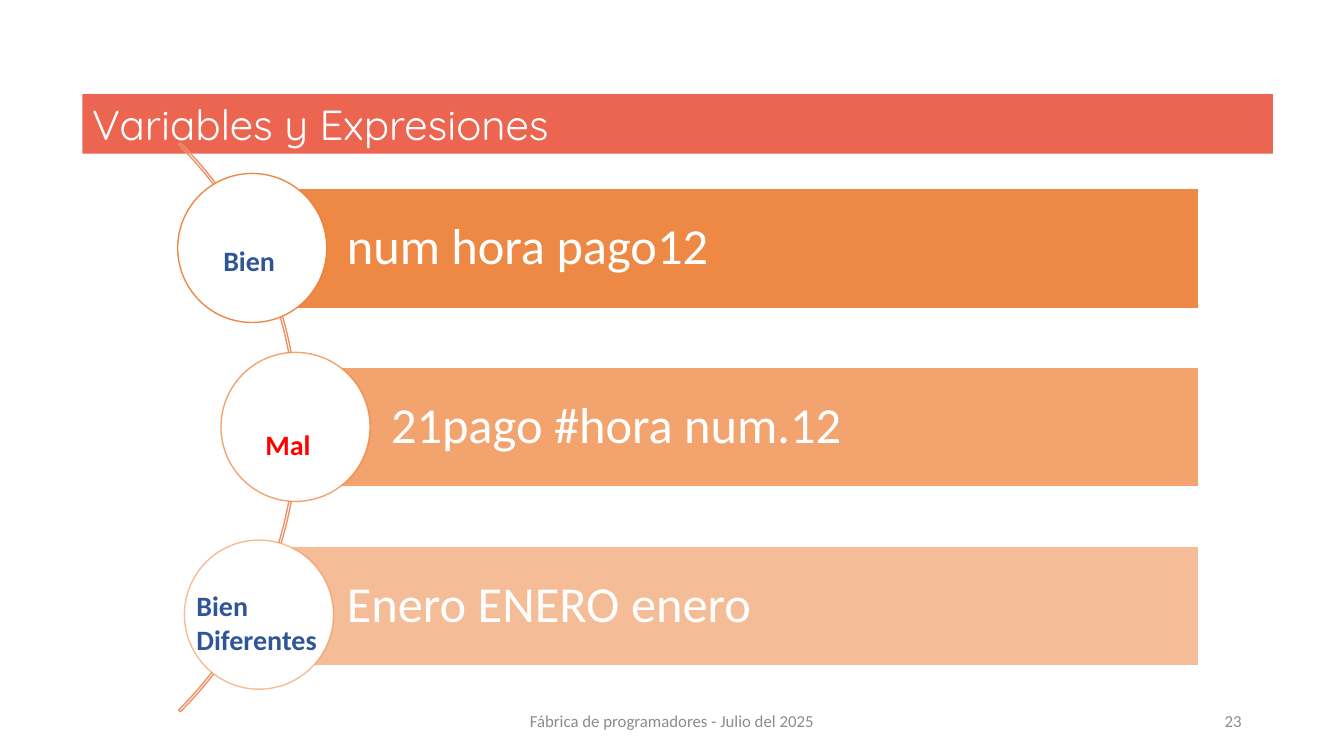
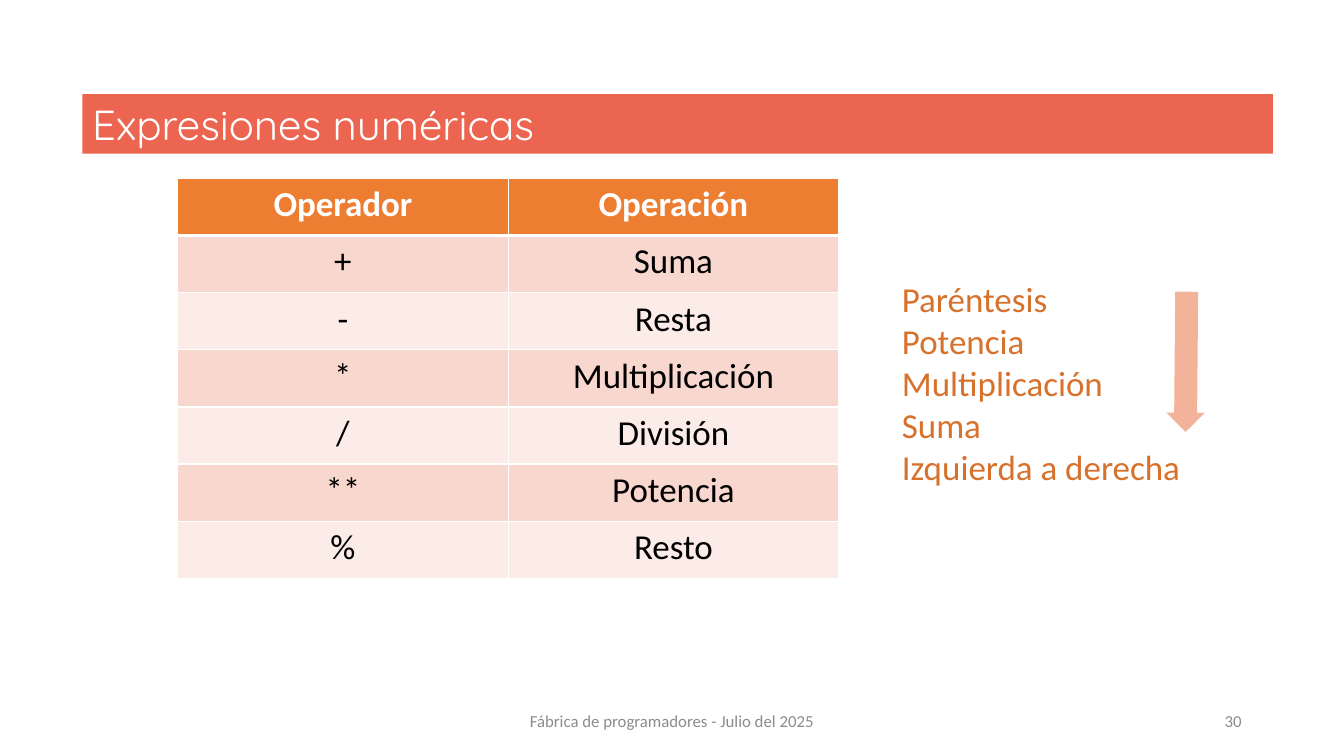
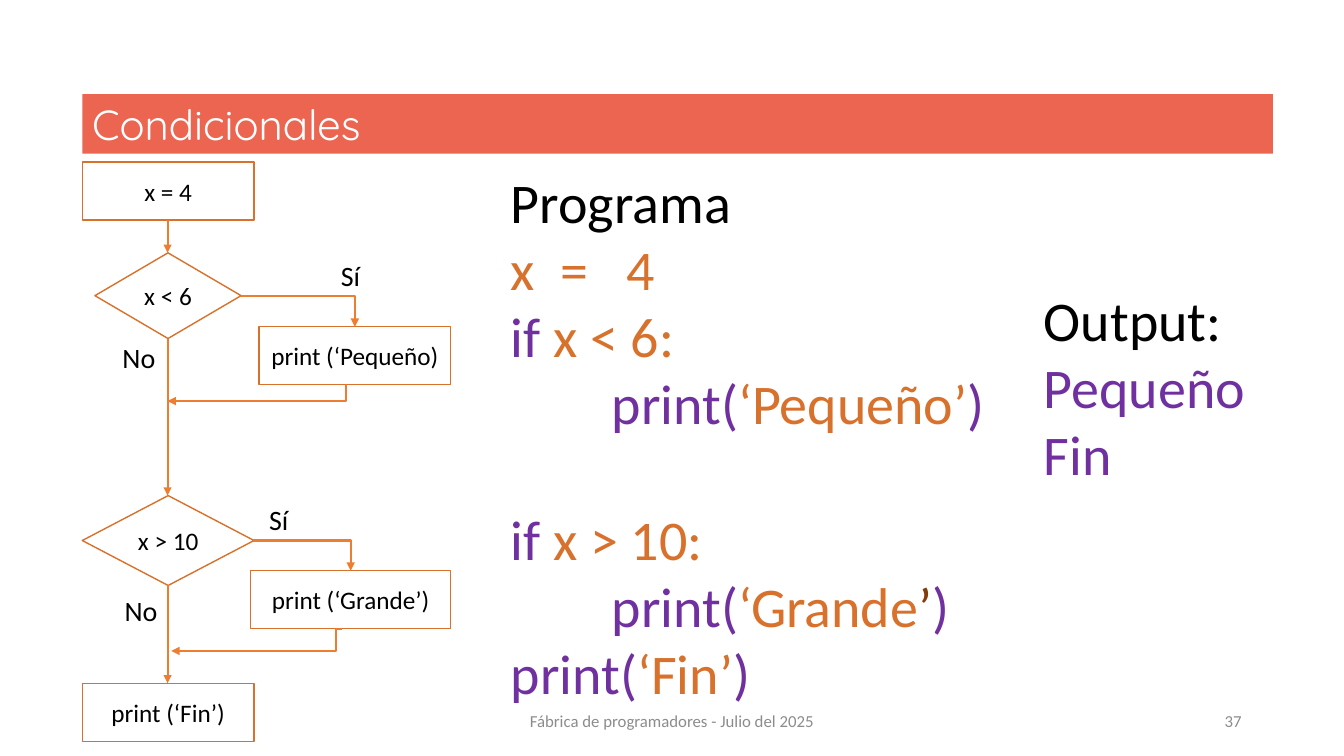
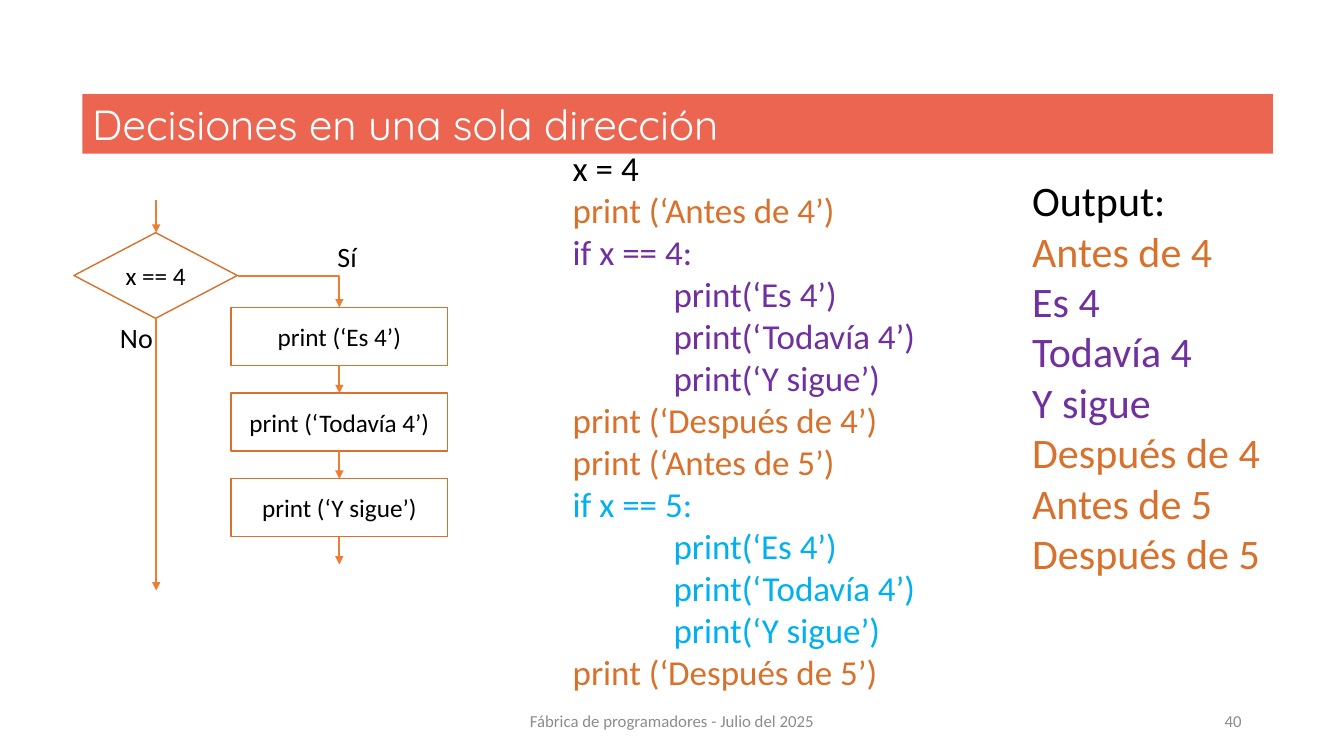
import dataclasses

import lxml.etree
import pptx
import pptx.dml.color
import pptx.enum.shapes
import pptx.enum.text
import pptx.oxml.ns
import pptx.util

RGBColor = pptx.dml.color.RGBColor
Pt = pptx.util.Pt
SHAPE = pptx.enum.shapes.MSO_SHAPE
CONNECTOR = pptx.enum.shapes.MSO_CONNECTOR
ALIGN = pptx.enum.text.PP_ALIGN
ANCHOR = pptx.enum.text.MSO_ANCHOR
qn = pptx.oxml.ns.qn

WHITE = RGBColor(0xFF, 0xFF, 0xFF)
BLACK = RGBColor(0x00, 0x00, 0x00)
CORAL = RGBColor(0xEC, 0x65, 0x51)
GREY = RGBColor(0x8C, 0x8C, 0x8C)
ORANGE = RGBColor(0xED, 0x7D, 0x31)
RUST = RGBColor(0xD7, 0x71, 0x2B)
BROWN = RGBColor(0x84, 0x3C, 0x0C)
ARC = RGBColor(0xEF, 0x91, 0x66)
SALMON = RGBColor(0xF3, 0xB2, 0x9A)
PEACH = RGBColor(0xF8, 0xD7, 0xCE)
BLUSH = RGBColor(0xFC, 0xEC, 0xE8)
PURPLE = RGBColor(0x70, 0x30, 0xA0)
NAVY = RGBColor(0x2F, 0x55, 0x97)
RED = RGBColor(0xFF, 0x00, 0x00)
SKY = RGBColor(0x00, 0xB0, 0xF0)

COLUMNS, ROWS = 160, 90
BODY_FONT, TITLE_FONT = "Calibri", "Quicksand"
FOOTER = "Fábrica de programadores - Julio del 2025"
CODE_INDENT = 12
LABEL_SIZE = (7.2, 5.3)
NODE_HEIGHT = 6.9


@dataclasses.dataclass
class Line:
    spans: list
    indent: float = 0
    before: float = 0


def line(text, color, indent=0):
    return Line([(text, color)], indent)


def lines(*pairs):
    return [line(*pair) for pair in pairs]


def apply(target, formats):
    for name, value in formats.items():
        setattr(target, name, value)


def fade(shape, share, *tags):
    steps = "/".join(qn(tag) for tag in (*tags, "a:solidFill", "a:srgbClr"))
    color = shape._element.spPr.find(steps)
    lxml.etree.SubElement(color, qn("a:alpha"), val=str(int(share * 1000)))


class Deck:
    def __init__(self):
        self.deck = pptx.Presentation()
        apply(self.deck, {"slide_width": pptx.util.Inches(13.333),
                          "slide_height": pptx.util.Inches(7.5)})
        self.page = None

    def x(self, columns):
        return round(self.deck.slide_width * columns / COLUMNS)

    def y(self, rows):
        return round(self.deck.slide_height * rows / ROWS)

    def place(self, at):
        left, top, width, height = at
        return self.x(left), self.y(top), self.x(width), self.y(height)

    def start(self, title, number):
        self.page = self.deck.slides.add_slide(self.deck.slide_layouts[6])
        band = self.shape(SHAPE.RECTANGLE, (9.8, 11.2, 141.75, 7.1), CORAL)
        self.set_text(band.text_frame, lines((title, WHITE)), 30,
                      font=TITLE_FONT, anchor=ANCHOR.MIDDLE)
        for text, left, width, align in ((FOOTER, 53, 54, ALIGN.CENTER),
                                         (str(number), 113, 36, ALIGN.RIGHT)):
            self.text((left, 83.4, width, 4.8), lines((text, GREY)), 12,
                      align=align, anchor=ANCHOR.MIDDLE)

    def set_text(self, frame, content, size, font=BODY_FONT, bold=False,
                 align=ALIGN.LEFT, anchor=ANCHOR.TOP, spacing=None):
        apply(frame, {"word_wrap": True, "vertical_anchor": anchor})
        for index, item in enumerate(content):
            para = frame.add_paragraph() if index else frame.paragraphs[0]
            if item.indent:
                para._p.get_or_add_pPr().set("marL", str(self.x(item.indent)))
            apply(para, {"alignment": align, "line_spacing": spacing,
                         "space_before": Pt(item.before)})
            for text, color in item.spans:
                span = para.add_run()
                span.text = text
                apply(span.font, {"name": font, "size": Pt(size), "bold": bold})
                span.font.color.rgb = color

    def text(self, at, content, size, **style):
        box = self.page.shapes.add_textbox(*self.place(at))
        self.set_text(box.text_frame, content, size, **style)

    def shape(self, kind, at, fill=None, outline=None):
        shape = self.page.shapes.add_shape(kind, *self.place(at))
        shape.shadow.inherit = False
        if fill is None:
            shape.fill.background()
        else:
            shape.fill.solid()
            shape.fill.fore_color.rgb = fill
        if outline is None:
            shape.line.fill.background()
        else:
            shape.line.color.rgb = outline
            shape.line.width = Pt(1)
        return shape

    def node(self, text, at, kind=SHAPE.RECTANGLE):
        node = self.shape(kind, at, WHITE, RUST)
        apply(node.text_frame, {"margin_left": 0, "margin_right": 0})
        self.set_text(node.text_frame, lines((text, BLACK)), 18,
                      align=ALIGN.CENTER, anchor=ANCHOR.MIDDLE)

    def decision(self, text, at):
        self.node(text, at, SHAPE.FLOWCHART_DECISION)

    def label(self, text, left, top):
        self.text((left, top, *LABEL_SIZE), lines((text, BLACK)), 20)

    def arrow(self, start, end, kind=CONNECTOR.STRAIGHT):
        arrow = self.page.shapes.add_connector(
            kind, self.x(start[0]), self.y(start[1]), self.x(end[0]), self.y(end[1]))
        arrow.line.color.rgb = ORANGE
        arrow.line.width = Pt(1.5)
        properties = arrow._element.spPr
        lxml.etree.SubElement(properties.find(qn("a:ln")), qn("a:tailEnd"), type="triangle")
        lxml.etree.SubElement(properties, qn("a:effectLst"))
        return properties.find(qn("a:prstGeom"))

    def branch(self, start, end):
        self.arrow(start, end, CONNECTOR.ELBOW).set("prst", "bentConnector2")

    def rejoin(self, start, end, turn):
        geometry = self.arrow(start, end, CONNECTOR.ELBOW)
        guides = geometry.find(qn("a:avLst"))
        if guides is None:
            guides = lxml.etree.SubElement(geometry, qn("a:avLst"))
        lxml.etree.SubElement(guides, qn("a:gd"), name="adj1",
                              fmla=f"val {round(turn * 100000)}")

    def bar(self, text, left, top, right, opacity):
        bar = self.shape(SHAPE.RECTANGLE, (left, top, right - left, 14.25), ORANGE, WHITE)
        fade(bar, opacity)
        bar.text_frame.margin_left = self.x(11.3)
        self.set_text(bar.text_frame, lines((text, WHITE)), 36,
                      anchor=ANCHOR.MIDDLE, spacing=0.9)

    def circle(self, left, top, opacity):
        circle = self.shape(SHAPE.OVAL, (left, top, 17.75, 17.75), WHITE, ORANGE)
        fade(circle, opacity, "a:ln")

    def border(self, cell, tag, width):
        edge = lxml.etree.SubElement(cell._tc.get_or_add_tcPr(), qn(tag), w=str(Pt(width)))
        fill = lxml.etree.SubElement(edge, qn("a:solidFill"))
        lxml.etree.SubElement(fill, qn("a:srgbClr"), val=str(WHITE))

    def table(self, at, rows):
        table = self.page.shapes.add_table(len(rows), len(rows[0]), *self.place(at)).table
        table.horz_banding = False
        for row, texts in enumerate(rows):
            header = row == 0
            fill = ORANGE if header else (BLUSH, PEACH)[row % 2]
            widths = {"a:lnL": 1, "a:lnR": 1, "a:lnT": 3 if row == 1 else 1,
                      "a:lnB": 3 if header else 1}
            for column, text in enumerate(texts):
                cell = table.cell(row, column)
                for tag, width in widths.items():
                    self.border(cell, tag, width)
                cell.fill.solid()
                cell.fill.fore_color.rgb = fill
                self.set_text(cell.text_frame, lines((text, WHITE if header else BLACK)),
                              25, bold=header, align=ALIGN.CENTER)


def variables(deck):
    deck.start("Variables y Expresiones", 23)
    arc = deck.shape(SHAPE.BLOCK_ARC, (-60.25, 3, 95.75, 95.75), outline=ARC)
    for index, value in enumerate((189, 27, 0.003)):
        arc.adjustments[index] = value
    examples = (("num hora pago12", 30, 21.15, 20.65),
                ("21pago #hora num.12", 35.25, 26.3, 41.95),
                ("Enero ENERO enero", 30, 21.95, 64.3))
    for index, (text, left, circle_left, circle_top) in enumerate(examples):
        opacity = 90 - 20 * index
        deck.bar(text, left, 22.45 + 21.3 * index, 142.7, opacity)
        deck.circle(circle_left, circle_top, opacity)
    verdicts = ((25.4, 28.4, 12.25, ["Bien"], NAVY),
                (30.4, 50.25, 12.25, ["Mal"], RED),
                (22.2, 69.5, 18.6, ["Bien", "Diferentes"], NAVY))
    for left, top, width, words, color in verdicts:
        deck.text((left, top, width, 5.3 * len(words)),
                  [line(word, color) for word in words], 20, bold=True)


def operators(deck):
    deck.start("Expresiones numéricas", 30)
    deck.table((21.15, 21.25, 78.7, 47.6), (
        ("Operador", "Operación"), ("+", "Suma"), ("-", "Resta"),
        ("*", "Multiplicación"), ("/", "División"), ("**", "Potencia"), ("%", "Resto")))
    order = ("Paréntesis", "Potencia", "Multiplicación", "Suma", "Izquierda a derecha")
    deck.text((106.2, 32.4, 36, 26.4), [line(text, RUST) for text in order], 25)
    arrow = deck.shape(SHAPE.RIGHT_ARROW, (132.85, 40.8, 16.7, 4.55), SALMON)
    arrow.rotation = 90.5
    arrow.adjustments[0] = 0.6


def conditionals(deck):
    deck.start("Condicionales", 37)
    deck.text((59.65, 19.3, 61, 65.9), [
        line("Programa", BLACK),
        line("x  =   4", RUST),
        Line([("if ", PURPLE), ("x < 6:", RUST)]),
        Line([("print(", PURPLE), ("‘Pequeño’", RUST), (")", PURPLE)], CODE_INDENT),
        Line([("if ", PURPLE), ("x > 10:", RUST)], before=48.8),
        Line([("print(", PURPLE), ("‘Grande", RUST), ("’", BROWN), (")", PURPLE)], CODE_INDENT),
        Line([("print(", PURPLE), ("‘Fin’", RUST), (")", PURPLE)]),
    ], 40)
    deck.node("x = 4", (9.8, 19.3, 20.45, NODE_HEIGHT))
    deck.decision("x < 6", (11.3, 30.1, 17.4, 10.2))
    deck.decision("x > 10", (9.8, 59, 20.45, 10.7))
    deck.node("print (‘Pequeño)", (30.85, 38.9, 22.8, NODE_HEIGHT))
    deck.node("print (‘Grande’)", (29.85, 67.95, 23.8, NODE_HEIGHT))
    deck.node("print (‘Fin’)", (9.8, 81.35, 20.45, NODE_HEIGHT))
    axis = 19.95
    for top, bottom in ((26.2, 30.1), (40.3, 59), (69.7, 81.35)):
        deck.arrow((axis, top), (axis, bottom))
    deck.branch((28.7, 35.2), (42.25, 38.9))
    deck.branch((30.15, 64.35), (41.75, 67.95))
    deck.rejoin((40.7, 74.9), (20.4, 77.5), 0.034)
    deck.rejoin((41.3, 45.9), (axis, 47.75), 0.006)
    for text, left, top in (("Sí", 39.4, 30.2), ("Sí", 30.85, 59.25),
                            ("No", 13.4, 40), ("No", 13.65, 70.1)):
        deck.label(text, left, top)
    deck.text((123.1, 33.35, 28.45, 25.4), lines(
        ("Output:", BLACK), ("Pequeño", PURPLE), ("Fin", PURPLE)), 40)


def one_way_decisions(deck):
    deck.start("Decisiones en una sola dirección", 40)
    deck.text((121.7, 20.2, 36, 49.7), lines(
        ("Output:", BLACK), ("Antes de 4", RUST), ("Es 4", PURPLE),
        ("Todavía 4", PURPLE), ("Y sigue", PURPLE), ("Después de 4", RUST),
        ("Antes de 5", RUST), ("Después de 5", RUST)), 30)
    axis, step_axis = 18.6, 40.4
    deck.decision("x == 4", (8.8, 27.7, 19.45, 10.2))
    deck.arrow((axis, 23.8), (axis, 27.7))
    deck.arrow((axis, 37.9), (axis, 70.3))
    deck.branch((28.3, 32.9), (step_axis, 36.6))
    deck.label("Sí", 39, 27.95)
    deck.label("No", 13.1, 37.6)
    steps = ("‘Es 4’", "‘Todavía 4’", "‘Y sigue’")
    pitch = 10.2
    for index, step in enumerate(steps):
        top = 36.6 + pitch * index
        deck.node(f"print ({step})", (27.5, top, 25.8, NODE_HEIGHT))
        deck.arrow((step_axis, top + NODE_HEIGHT), (step_axis, top + pitch))
    code = [line("x = 4", BLACK)]
    for number, color in ((4, PURPLE), (5, SKY)):
        code += [line(f"print (‘Antes de {number}’)", RUST),
                 line(f"if x == {number}:", color),
                 *(line(f"print({step})", color, CODE_INDENT) for step in steps),
                 line(f"print (‘Después de {number}’)", RUST)]
    deck.text((67, 16.9, 61, 66.8), code, 25)


def main():
    deck = Deck()
    for build in (variables, operators, conditionals, one_way_decisions):
        build(deck)
    deck.deck.save("out.pptx")


if __name__ == "__main__":
    main()
